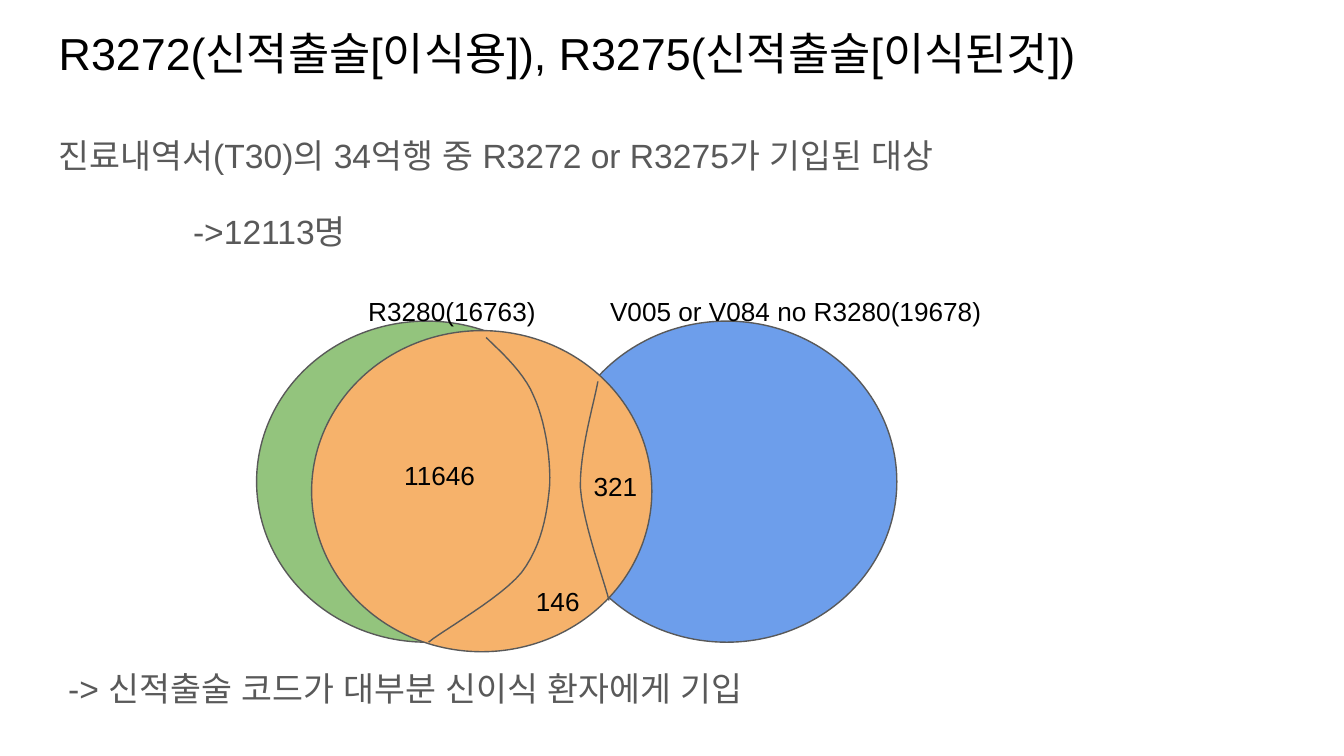
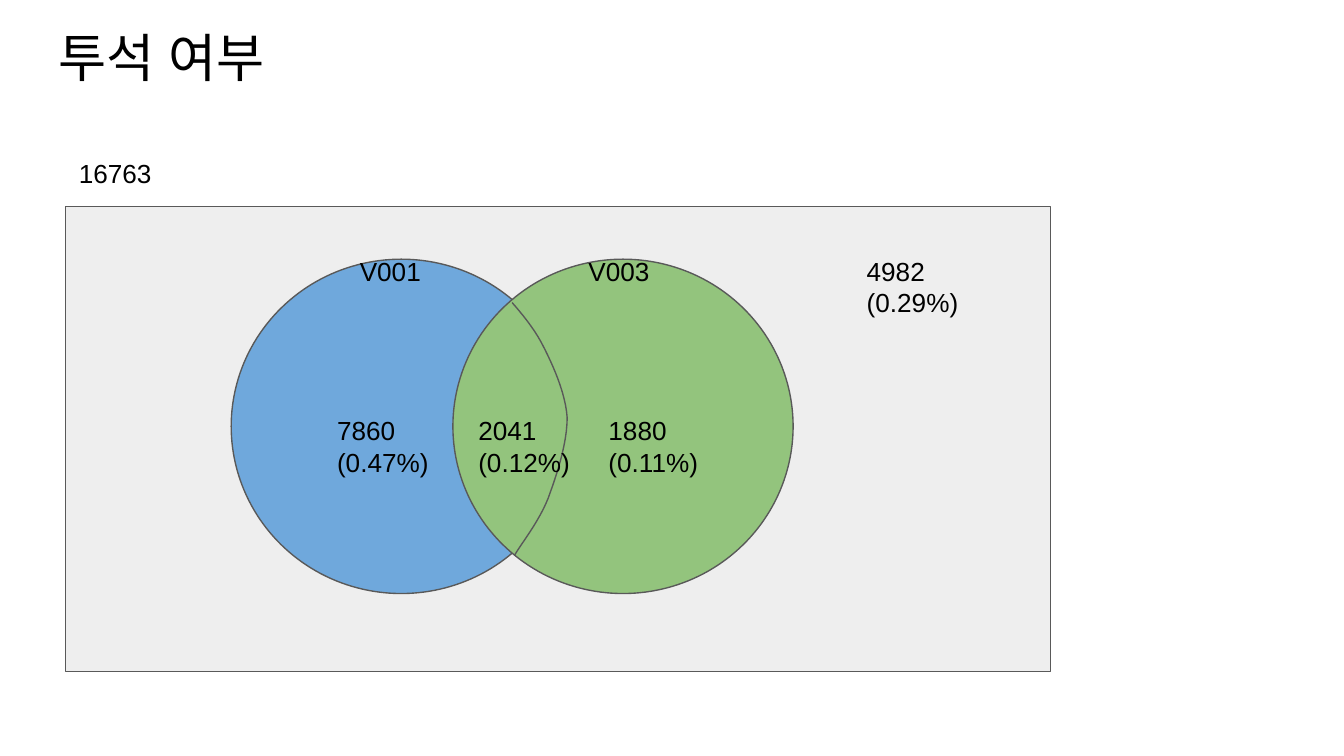
"""Build two slides with Venn diagrams of kidney procedure codes."""
from dataclasses import dataclass

from lxml.etree import SubElement
from pptx import Presentation
from pptx.dml.color import RGBColor
from pptx.enum.shapes import MSO_SHAPE
from pptx.enum.text import MSO_ANCHOR, PP_ALIGN
from pptx.oxml.ns import qn
from pptx.shapes.base import BaseShape
from pptx.slide import Slide
from pptx.text.text import TextFrame
from pptx.util import Cm, Pt

Point = tuple[float, float]


@dataclass(frozen=True)
class Theme:
    """Colours, font and type sizes shared by the slides."""

    font: str = "Arial"
    ink: str = "000000"
    grey: str = "595959"
    panel: str = "EEEEEE"
    green: str = "93C47D"
    cornflower: str = "6D9EEB"
    sky: str = "6FA8DC"
    orange: str = "F6B26B"
    title_size: int = 24
    short_title_size: int = 28
    body_size: int = 18
    label_size: int = 14
    line_width: float = 0.75


THEME = Theme()


@dataclass(frozen=True)
class Box:
    """Position and size in centimetres."""

    left: float
    top: float
    width: float
    height: float

    def lengths(self) -> tuple[Cm, Cm, Cm, Cm]:
        """Return the box as slide lengths."""
        return Cm(self.left), Cm(self.top), Cm(self.width), Cm(self.height)


@dataclass(frozen=True)
class Region:
    """A filled and outlined part of a diagram."""

    box: Box
    fill: str
    preset: MSO_SHAPE = MSO_SHAPE.OVAL


@dataclass(frozen=True)
class Label:
    """A caption whose lines are separate paragraphs."""

    text: str
    box: Box


@dataclass(frozen=True)
class Statement:
    """A body paragraph with its spacing in points and indent in centimetres."""

    text: str
    space_before: float = 0
    indent: float = 0


@dataclass(frozen=True)
class Diagram:
    """The regions, dividing curves and labels of one slide."""

    regions: list[Region]
    dividers: list[list[Point]]
    labels: list[Label]


TITLE_BOX = Box(0.86, 0.23, 23.67, 1.6)
BODY_BOX = Box(0.86, 2.18, 23.67, 11.73)

STATEMENTS = [
    Statement("진료내역서(T30)의 34억행 중 R3272 or R3275가 기입된 대상"),
    Statement("->12113명", space_before=16, indent=2.54),
    Statement("-> 신적출술 코드가 대부분 신이식 환자에게 기입", space_before=220, indent=0.18),
]

NEPHRECTOMY = Diagram(
    regions=[
        Region(Box(4.85, 6.07, 6.43, 6.07), THEME.green),
        Region(Box(10.52, 6.07, 6.43, 6.07), THEME.cornflower),
        Region(Box(5.89, 6.25, 6.43, 6.07), THEME.orange),
    ],
    dividers=[
        [(9.19, 6.38), (9.35, 6.55), (9.88, 6.99), (10.08, 7.47), (10.29, 7.92),
         (10.41, 8.61), (10.39, 9.17), (10.34, 9.73), (10.24, 10.31), (9.86, 10.82),
         (9.47, 11.3), (8.38, 11.91), (8.1, 12.14)],
        [(11.3, 7.21), (11.25, 7.54), (10.95, 8.53), (10.97, 9.22),
         (11.02, 9.91), (11.43, 11), (11.51, 11.35)],
    ],
    labels=[
        Label("V005 or V084 no R3280(19678)", Box(11.28, 5.33, 7.82, 0.94)),
        Label("R3280(16763)", Box(6.71, 5.33, 4.83, 0.94)),
        Label("11646", Box(7.39, 8.43, 2.49, 1.32)),
        Label("321", Box(10.97, 8.64, 1.96, 1.32)),
        Label("146", Box(9.88, 10.82, 1.96, 1.32)),
    ],
)

DIALYSIS = Diagram(
    regions=[
        Region(Box(1.24, 3.91, 18.62, 8.79), THEME.panel, MSO_SHAPE.RECTANGLE),
        Region(Box(4.37, 4.9, 6.43, 6.32), THEME.sky),
        Region(Box(8.56, 4.9, 6.43, 6.32), THEME.green),
    ],
    dividers=[
        [(9.68, 5.72), (9.78, 5.84), (10.08, 6.17), (10.26, 6.53), (10.44, 6.88),
         (10.69, 7.42), (10.72, 7.9), (10.72, 8.38), (10.52, 8.99), (10.36, 9.42),
         (10.19, 9.86), (9.83, 10.31), (9.73, 10.49)],
    ],
    labels=[
        Label("V001", Box(6.55, 4.57, 1.78, 0.99)),
        Label("V003", Box(10.87, 4.57, 1.78, 0.99)),
        Label("2041\n(0.12%)", Box(8.79, 7.59, 2.44, 0.99)),
        Label("7860\n(0.47%)", Box(6.12, 7.59, 2.44, 0.99)),
        Label("1880\n(0.11%)", Box(11.25, 7.59, 2.44, 0.99)),
        Label("4982\n(0.29%)", Box(16.13, 4.57, 2.44, 0.99)),
        Label("16763", Box(1.24, 2.72, 2.44, 0.99)),
    ],
)


def add_frame(slide: Slide, box: Box) -> TextFrame:
    """Add a wrapping, top-anchored text box."""
    frame = slide.shapes.add_textbox(*box.lengths()).text_frame
    frame.word_wrap = True
    frame.vertical_anchor = MSO_ANCHOR.TOP
    frame.margin_left = frame.margin_right = Cm(0.25)
    frame.margin_top = frame.margin_bottom = Cm(0.25)
    return frame


def write(frame: TextFrame, text: str, *, size: float, color: str = THEME.ink,
          line_spacing: float = 1.0, space_before: float = 0, indent: float = 0) -> None:
    """Append each line of text as a formatted paragraph."""
    for line in text.split("\n"):
        first = frame.paragraphs[0]
        paragraph = frame.add_paragraph() if first.runs else first
        paragraph.alignment = PP_ALIGN.LEFT
        paragraph.line_spacing = line_spacing
        paragraph.space_before = Pt(space_before)
        if indent:
            paragraph._p.get_or_add_pPr().set("marL", str(Cm(indent)))
        run = paragraph.add_run()
        run.text = line
        run.font.size = Pt(size)
        run.font.color.rgb = RGBColor.from_string(color)
        run.font.name = THEME.font
        SubElement(run._r.get_or_add_rPr(), qn("a:ea")).set("typeface", THEME.font)


def outline(shape: BaseShape) -> None:
    """Give a shape the shared thin outline and no shadow."""
    shape.shadow.inherit = False
    shape.line.color.rgb = RGBColor.from_string(THEME.grey)
    shape.line.width = Pt(THEME.line_width)


def add_region(slide: Slide, region: Region) -> None:
    """Draw one filled region."""
    shape = slide.shapes.add_shape(region.preset, *region.box.lengths())
    shape.fill.solid()
    shape.fill.fore_color.rgb = RGBColor.from_string(region.fill)
    outline(shape)


def bezier(controls: list[Point], t: float) -> Point:
    """Return the point at t on a cubic curve."""
    s = 1 - t
    weights = (s ** 3, 3 * s * s * t, 3 * s * t * t, t ** 3)
    x, y = (sum(w * v for w, v in zip(weights, axis)) for axis in zip(*controls))
    return x, y


def add_divider(slide: Slide, controls: list[Point], steps: int = 12) -> None:
    """Draw an open curve through joined cubic segments."""
    points = [bezier(controls[start:start + 4], step / steps)
              for start in range(0, len(controls) - 1, 3)
              for step in range(1, steps + 1)]
    start_x, start_y = controls[0]
    builder = slide.shapes.build_freeform(Cm(start_x), Cm(start_y))
    builder.add_line_segments([(Cm(x), Cm(y)) for x, y in points], close=False)
    curve = builder.convert_to_shape()
    curve.fill.background()
    outline(curve)


def add_diagram(slide: Slide, diagram: Diagram) -> None:
    """Draw the regions, then the dividers, then the labels."""
    for region in diagram.regions:
        add_region(slide, region)
    for divider in diagram.dividers:
        add_divider(slide, divider)
    for label in diagram.labels:
        write(add_frame(slide, label.box), label.text, size=THEME.label_size)


def add_titled_slide(deck: Presentation, title: str, size: float) -> Slide:
    """Add a blank slide with a title."""
    slide = deck.slides.add_slide(deck.slide_layouts[6])
    write(add_frame(slide, TITLE_BOX), title, size=size)
    return slide


def main() -> None:
    """Build and save the presentation."""
    deck = Presentation()
    deck.slide_width, deck.slide_height = Cm(25.4), Cm(14.29)

    nephrectomy = add_titled_slide(
        deck, "R3272(신적출술[이식용]), R3275(신적출술[이식된것])", THEME.title_size)
    body = add_frame(nephrectomy, BODY_BOX)
    for statement in STATEMENTS:
        write(body, statement.text, size=THEME.body_size, color=THEME.grey, line_spacing=1.15,
              space_before=statement.space_before, indent=statement.indent)
    add_diagram(nephrectomy, NEPHRECTOMY)

    dialysis = add_titled_slide(deck, "투석 여부", THEME.short_title_size)
    add_diagram(dialysis, DIALYSIS)

    deck.save("out.pptx")


if __name__ == "__main__":
    main()
